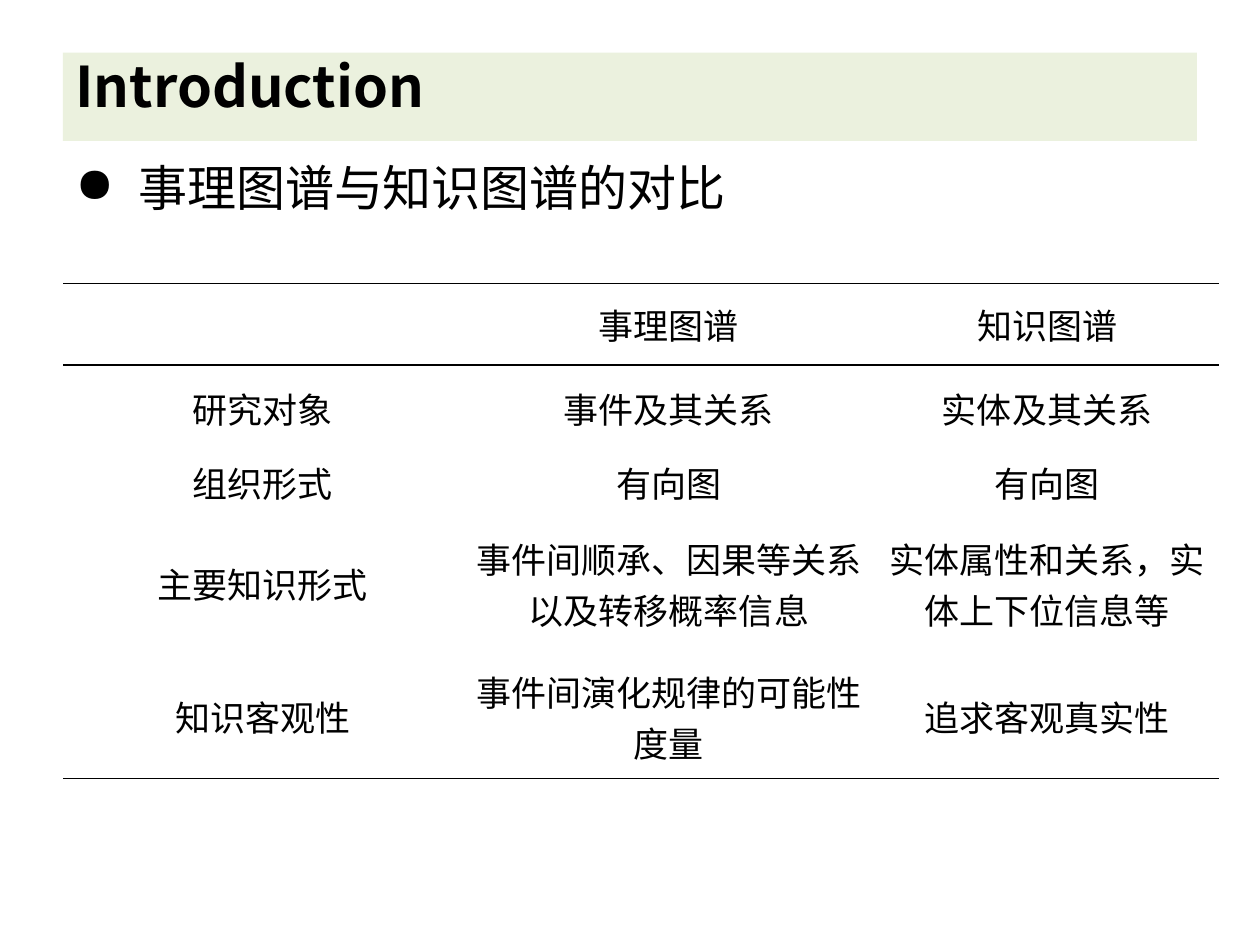
from lxml.etree import SubElement
from pptx import Presentation
from pptx.dml.color import RGBColor
from pptx.enum.shapes import MSO_SHAPE as Shape
from pptx.enum.text import MSO_ANCHOR as Anchor, PP_ALIGN as Align
from pptx.oxml.ns import qn
from pptx.util import Cm, Pt

FONT = "Noto Sans CJK SC"
BLACK, WHITE, PALE_GREEN = "000000", "FFFFFF", "EBF1DE"
LEFT = Cm(1.27)

COLUMN_WIDTHS = [8.05, 8.33, 6.92]
ROW_HEIGHTS = [1.65, 1.73, 1.24, 2.87, 2.49]
COMPARISON = [
    ["", "事理图谱", "知识图谱"],
    ["研究对象", "事件及其关系", "实体及其关系"],
    ["组织形式", "有向图", "有向图"],
    ["主要知识形式", "事件间顺承、因果等关系以及转移概率信息", "实体属性和关系，实体上下位信息等"],
    ["知识客观性", "事件间演化规律的可能性度量", "追求客观真实性"],
]


def color(code):
    return RGBColor.from_string(code)


def write(frame, text, size, bold=False, align=Align.LEFT, spacing=None, bullet=None):
    frame.word_wrap = True
    para = frame.paragraphs[0]
    para.alignment = align
    para.line_spacing = spacing
    if bullet:
        props = para._p.get_or_add_pPr()
        props.set("marL", str(Cm(1.27)))
        props.set("indent", str(-Cm(1.27)))
        SubElement(props, qn("a:buChar"), char=bullet)
    span = para.add_run()
    span.text = text
    span.font.name = FONT
    span.font.size = Pt(size)
    span.font.bold = bold
    span.font.color.rgb = color(BLACK)
    SubElement(span._r.get_or_add_rPr(), qn("a:ea"), typeface=FONT)


def add_heading(page, text):
    bar = page.shapes.add_shape(Shape.RECTANGLE, LEFT, Cm(1.06), Cm(22.86), Cm(1.78))
    bar.shadow.inherit = False
    bar.fill.solid()
    bar.fill.fore_color.rgb = color(PALE_GREEN)
    bar.line.fill.background()
    bar.text_frame.vertical_anchor = Anchor.TOP
    write(bar.text_frame, text, 32, bold=True, spacing=0.9)


def add_body(page, text):
    box = page.shapes.add_textbox(LEFT, Cm(3.18), Cm(23.3), Cm(14.82))
    write(box.text_frame, text, 28, spacing=0.9, bullet="●")


def set_borders(cell, top=0, bottom=0):
    """Rule the cell above and below by width in points; 0 means no line."""
    props = cell._tc.get_or_add_tcPr()
    for side, width in (("L", 0), ("R", 0), ("T", top), ("B", bottom)):
        line = SubElement(props, qn(f"a:ln{side}"), w=str(Pt(width)))
        if width:
            fill = SubElement(line, qn("a:solidFill"))
            SubElement(fill, qn("a:srgbClr"), val=BLACK)
        else:
            SubElement(line, qn("a:noFill"))


def add_comparison(page, rows):
    frame = page.shapes.add_table(len(rows), len(rows[0]), LEFT, Cm(5.71),
                                  Cm(sum(COLUMN_WIDTHS)), Cm(sum(ROW_HEIGHTS)))
    table = frame.table
    table.first_row = table.horz_banding = False
    for column, width in zip(table.columns, COLUMN_WIDTHS):
        column.width = Cm(width)
    for row, height in zip(table.rows, ROW_HEIGHTS):
        row.height = Cm(height)

    rules = [0.75, 1] + [0] * (len(rows) - 2) + [0.75]
    for r, texts in enumerate(rows):
        for c, text in enumerate(texts):
            cell = table.cell(r, c)
            set_borders(cell, rules[r], rules[r + 1])
            cell.fill.solid()
            cell.fill.fore_color.rgb = color(WHITE)
            cell.vertical_anchor = Anchor.MIDDLE
            cell.margin_left = cell.margin_right = Cm(0.18)
            cell.margin_top = cell.margin_bottom = 0
            if text:
                write(cell.text_frame, text, 20, align=Align.CENTER)


def main():
    deck = Presentation()
    deck.slide_width, deck.slide_height = Cm(25.4), Cm(19.05)
    page = deck.slides.add_slide(deck.slide_layouts[6])
    add_body(page, "事理图谱与知识图谱的对比")
    add_heading(page, "Introduction")
    add_comparison(page, COMPARISON)
    deck.save("out.pptx")


if __name__ == "__main__":
    main()
